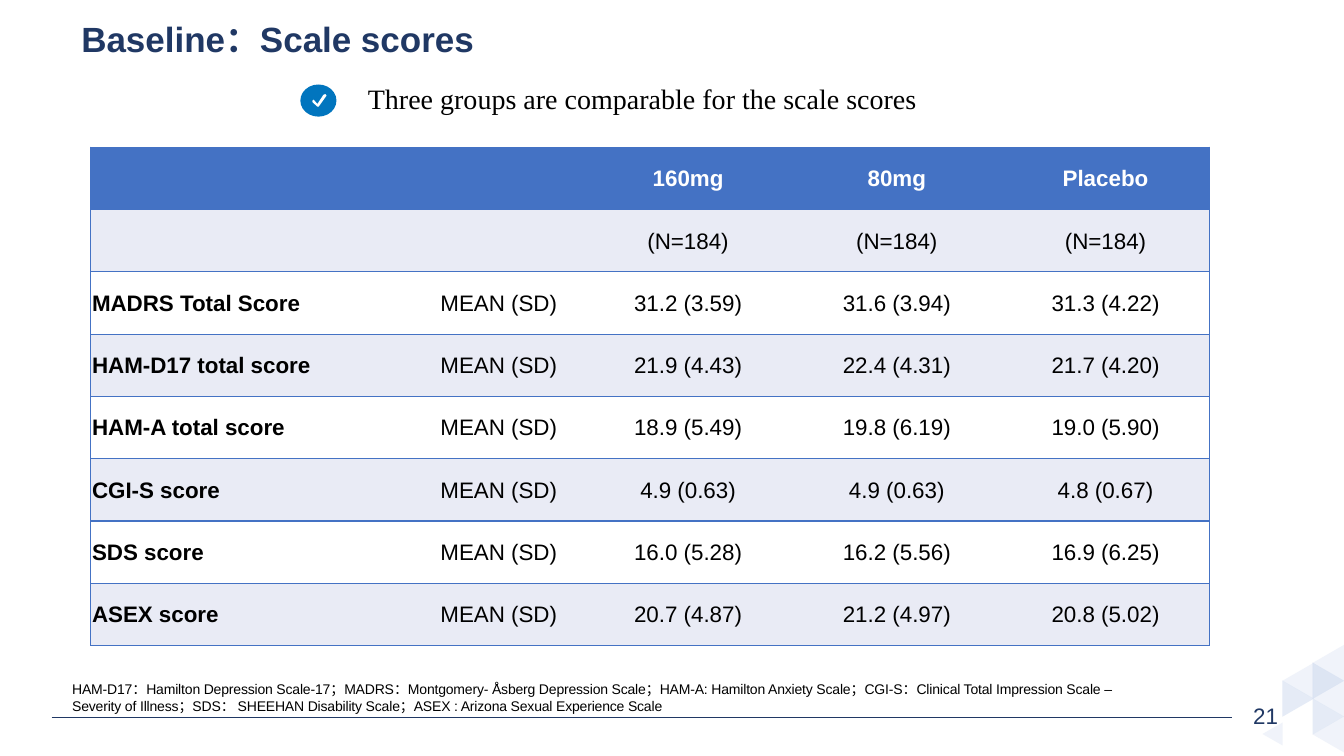
from dataclasses import dataclass
from lxml.etree import SubElement
from pptx import Presentation
from pptx.dml.color import RGBColor as Rgb
from pptx.enum.shapes import MSO_CONNECTOR as Link, MSO_SHAPE as Kind
from pptx.enum.text import MSO_ANCHOR as Anchor, PP_ALIGN as Align
from pptx.oxml import parse_xml
from pptx.oxml.ns import nsdecls, qn
from pptx.util import Cm, Pt


@dataclass(frozen=True)
class Theme:
    navy: str = "203864"
    blue: str = "4472C4"
    badge: str = "0175BE"
    pale: str = "DAE3F3"
    band: str = "E9EBF5"
    white: str = "FFFFFF"
    black: str = "000000"
    sans: str = "Arial"
    serif: str = "Times New Roman"
    title: float = 25
    lead: float = 20
    body: float = 16
    note: float = 10


class Deck:
    def __init__(self, theme):
        self.theme = theme
        self.file = Presentation()
        self.file.slide_width, self.file.slide_height = Cm(33.87), Cm(19.05)
        self.slide = self.file.slides.add_slide(self.file.slide_layouts[6])
        self.shapes = self.slide.shapes

    def style(self, para, size, color, bold=False, face=None, track=0):
        """Format every run of a paragraph; track is in hundredths of a point."""
        for run in para.runs:
            font = run.font
            font.name, font.size, font.bold = face or self.theme.sans, Pt(size), bold
            font.color.rgb = Rgb.from_string(color)
            if track:
                run._r.get_or_add_rPr().set("spc", str(track))

    def text(self, words, box, size, color, align=Align.LEFT, anchor=Anchor.TOP, **look):
        frame = self.shapes.add_textbox(*map(Cm, box)).text_frame
        frame.word_wrap, frame.vertical_anchor = True, anchor
        frame.text = words
        para = frame.paragraphs[0]
        para.alignment = align
        self.style(para, size, color, **look)

    def paint(self, shape, color, alpha=100):
        """Give a shape a flat fill with the given opacity in percent."""
        shape.shadow.inherit = False
        shape.line.fill.background()
        shape.fill.solid()
        shape.fill.fore_color.rgb = Rgb.from_string(color)
        if alpha < 100:
            tone = shape._element.spPr.find(f"{qn('a:solidFill')}/{qn('a:srgbClr')}")
            SubElement(tone, qn("a:alpha"), val=str(alpha * 1000))

    def shape(self, kind, box, color, alpha=100, turn=0):
        item = self.shapes.add_shape(kind, *map(Cm, box))
        item.rotation = turn
        self.paint(item, color, alpha)

    def outline(self, points, color):
        """Draw a closed polygon; points are in hundredths of a centimetre."""
        pen = self.shapes.build_freeform(*points[0], scale=Cm(0.01))
        pen.add_line_segments(points[1:], close=True)
        self.paint(pen.convert_to_shape(), color)

    def rule(self, left, right, top, color):
        line = self.shapes.add_connector(
            Link.STRAIGHT, Cm(left), Cm(top), Cm(right), Cm(top))
        line.line.color.rgb, line.line.width = Rgb.from_string(color), Pt(1)
        SubElement(line._element.spPr, qn("a:effectLst"))

    def edges(self, cell, first, last):
        """Draw the cell's lines; upright ones only at the table's two sides."""
        shown = {"L": first, "R": last, "T": True, "B": True}
        for spot, (side, on) in enumerate(shown.items()):
            fill = (f'<a:solidFill><a:srgbClr val="{self.theme.blue}"/></a:solidFill>'
                    if on else "<a:noFill/>")
            cell._tc.get_or_add_tcPr().insert(spot, parse_xml(
                f'<a:ln{side} {nsdecls("a")} w="12700">{fill}</a:ln{side}>'))

    def table(self, rows, spot, widths, height):
        theme = self.theme
        grid = self.shapes.add_table(
            len(rows), len(widths), *map(Cm, spot),
            Cm(sum(widths)), Cm(height * len(rows))).table
        grid.first_row = grid.horz_banding = False
        for col, width in zip(grid.columns, widths):
            col.width = Cm(width)
        for r, row in enumerate(rows):
            grid.rows[r].height = Cm(height)
            back = theme.blue if r == 0 else theme.band if r % 2 else theme.white
            for c, words in enumerate(row):
                cell = grid.cell(r, c)
                cell.text = words
                cell.vertical_anchor = Anchor.MIDDLE
                cell.margin_left = Cm(0.65 if c == 1 else 0.03)
                cell.margin_right = cell.margin_top = Cm(0.03)
                cell.margin_bottom = 0
                cell.fill.solid()
                cell.fill.fore_color.rgb = Rgb.from_string(back)
                self.edges(cell, c == 0, c == len(row) - 1)
                para = cell.text_frame.paragraphs[0]
                para.alignment = Align.CENTER if c else Align.LEFT
                self.style(para, theme.body, theme.black if r else theme.white,
                           bold=r == 0 or c == 0)


TILES = [(0, 2, 90), (0, 1, 270), (1, 1, 90), (1, 1, 90),
         (1, 2, 270), (1, 0, 270), (1, 4, 270), (1, 3, 90)]
TICK = [(800, 269), (787, 257), (787, 254), (790, 251), (793, 254),
        (800, 262), (815, 239), (820, 237), (823, 241), (803, 269)]
SCORES = [
    ("MADRS Total Score", "31.2 (3.59)", "31.6 (3.94)", "31.3 (4.22)"),
    ("HAM-D17 total score", "21.9 (4.43)", "22.4 (4.31)", "21.7 (4.20)"),
    ("HAM-A total score", "18.9 (5.49)", "19.8 (6.19)", "19.0 (5.90)"),
    ("CGI-S score", "4.9 (0.63)", "4.9 (0.63)", "4.8 (0.67)"),
    ("SDS score", "16.0 (5.28)", "16.2 (5.56)", "16.9 (6.25)"),
    ("ASEX score", "20.7 (4.87)", "21.2 (4.97)", "20.8 (5.02)"),
]
NOTE = ("HAM-D17：Hamilton Depression Scale-17；MADRS：Montgomery- Åsberg Depression "
        "Scale；HAM-A: Hamilton Anxiety Scale；CGI-S：Clinical Total Impression Scale "
        "– Severity of Illness；SDS： SHEEHAN Disability Scale；"
        "ASEX : Arizona Sexual Experience Scale")


def main():
    theme = Theme()
    deck = Deck(theme)
    deck.rule(1.3, 31.04, 18.08, theme.navy)
    deck.text("21", (31.17, 17.58, 1.45, 1.02), theme.body, theme.navy, Align.CENTER)
    for col, row, turn in TILES:
        deck.shape(Kind.ISOSCELES_TRIANGLE,
                   (32.26 + 0.76 * col, 16.31 + 0.45 * row, 0.91, 0.79),
                   theme.pale, 70 if turn == 90 else 40, turn)
    deck.shape(Kind.ISOSCELES_TRIANGLE, (31.78, 18.24, 0.58, 0.51), theme.pale, 40, 270)

    deck.text("Baseline：Scale scores", (1.8, 0.15, 28.68, 1.63), theme.title,
              theme.navy, anchor=Anchor.MIDDLE, bold=True)
    deck.text("Three groups are comparable for the scale scores",
              (9.02, 1.93, 14.53, 1.12), theme.lead, theme.black, face=theme.serif)
    deck.shape(Kind.OVAL, (7.57, 2.13, 0.91, 0.81), theme.badge)
    deck.outline(TICK, theme.white)
    deck.text(NOTE, (1.57, 17.02, 27.94, 1.12), theme.note, theme.black, track=-10)

    rows = [("", "", "160mg", "80mg", "Placebo"), ("", "") + ("(N=184)",) * 3]
    rows += [(name, "MEAN (SD)", *marks) for name, *marks in SCORES]
    deck.table(rows, (2.29, 3.71), (7.52, 4.9, 5.26, 5.26, 5.26), 1.57)
    deck.file.save("out.pptx")


if __name__ == "__main__":
    main()
